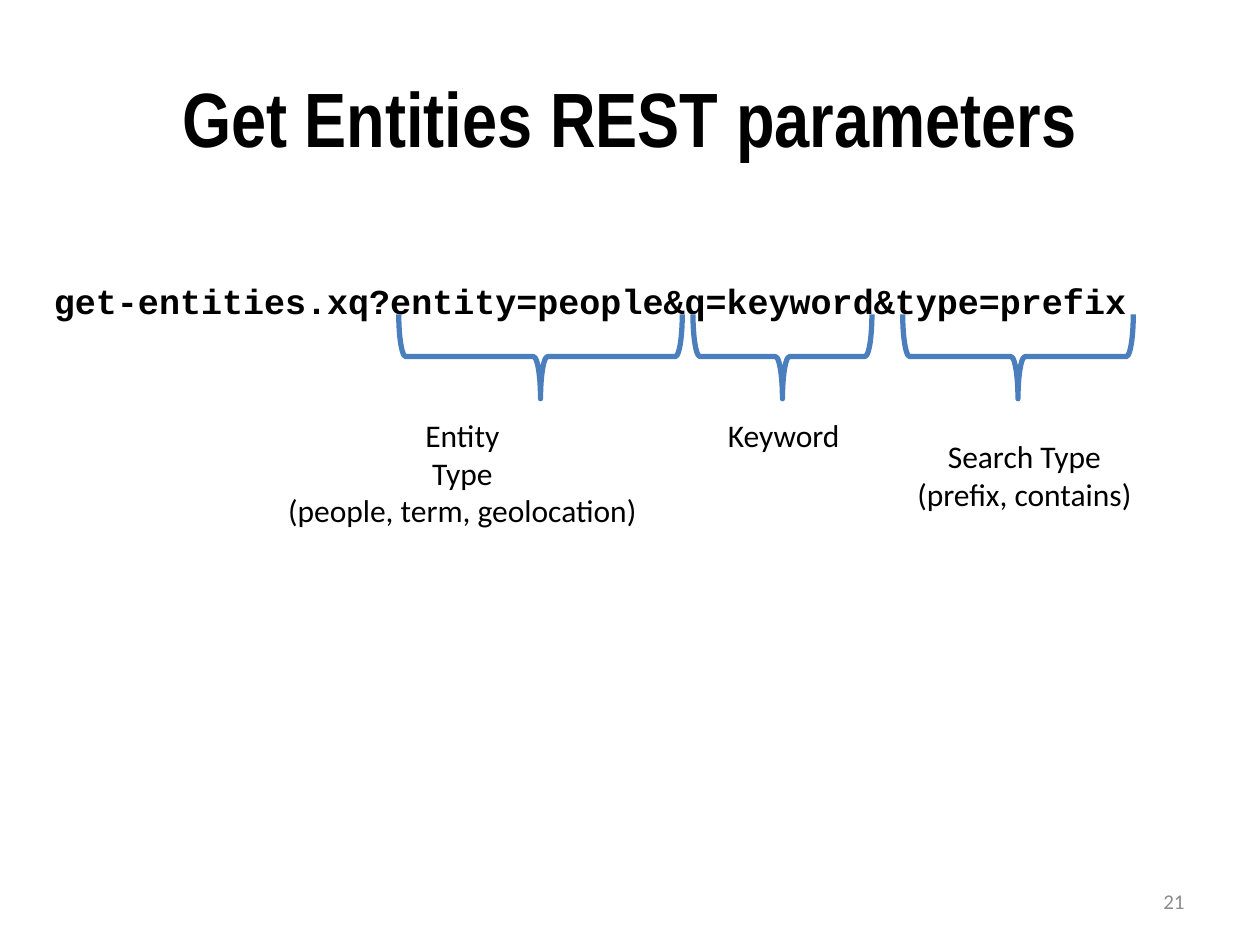
"""Build the slide that explains the Get Entities REST parameters."""
from dataclasses import dataclass

from pptx import Presentation
from pptx.dml.color import RGBColor
from pptx.enum import shapes, text
from pptx.slide import Slide
from pptx.util import Inches, Pt


@dataclass(frozen=True)
class Theme:
    title_font: str = "Arial Narrow"
    code_font: str = "Courier New"
    label_font: str = "Calibri"
    title_size: float = 44
    code_size: float = 20
    label_size: float = 18
    number_size: float = 12
    ink: str = "000000"
    muted: str = "8C8C8C"
    brace: str = "4B7EBC"
    brace_weight: float = 3


@dataclass(frozen=True)
class Area:
    left: float
    top: float
    width: float
    height: float


@dataclass(frozen=True)
class Parameter:
    brace_center: float
    brace_span: float
    label: tuple[str, ...]
    label_area: Area


THEME = Theme()
BRACE_MIDDLE = 2.83
BRACE_DEPTH = 0.67
PARAMETERS = (
    Parameter(4.29, 2.25, ("Entity", "Type", "(people, term, geolocation)"),
              Area(2.17, 3.25, 3, 1.01)),
    Parameter(6.21, 1.42, ("Keyword",), Area(5.67, 3.25, 1.1, 0.4)),
    Parameter(8.08, 1.83, ("Search Type", "(prefix, contains)"),
              Area(7.17, 3.42, 1.92, 0.71)),
)


def add_text(page: Slide, lines: tuple[str, ...], area: Area, *, font: str, size: float,
             color: str = THEME.ink, bold: bool = False, wrap: bool = True,
             align: text.PP_ALIGN = text.PP_ALIGN.CENTER,
             anchor: text.MSO_ANCHOR = text.MSO_ANCHOR.TOP, space_before: float = 0) -> None:
    box = page.shapes.add_textbox(Inches(area.left), Inches(area.top),
                                  Inches(area.width), Inches(area.height))
    frame = box.text_frame
    frame.word_wrap = wrap
    frame.auto_size = text.MSO_AUTO_SIZE.NONE if wrap else text.MSO_AUTO_SIZE.SHAPE_TO_FIT_TEXT
    frame.vertical_anchor = anchor
    for index, line in enumerate(lines):
        para = frame.add_paragraph() if index else frame.paragraphs[0]
        para.alignment = align
        para.space_before = Pt(space_before)
        span = para.add_run()
        span.text = line
        span.font.name = font
        span.font.size = Pt(size)
        span.font.bold = bold
        span.font.color.rgb = RGBColor.from_string(color)


def add_brace(page: Slide, center: float, span: float) -> None:
    brace = page.shapes.add_shape(
        shapes.MSO_SHAPE.LEFT_BRACE, Inches(center - BRACE_DEPTH / 2),
        Inches(BRACE_MIDDLE - span / 2), Inches(BRACE_DEPTH), Inches(span))
    brace.rotation = 270
    brace.shadow.inherit = False
    brace.fill.background()
    brace.line.color.rgb = RGBColor.from_string(THEME.brace)
    brace.line.width = Pt(THEME.brace_weight)


def main() -> None:
    deck = Presentation()
    deck.slide_width, deck.slide_height = Inches(10), Inches(7.5)
    page = deck.slides.add_slide(deck.slide_layouts[6])
    add_text(page, ("Get Entities REST parameters",), Area(0.5, 0.3, 9, 1.25),
             font=THEME.title_font, size=THEME.title_size, bold=True,
             anchor=text.MSO_ANCHOR.MIDDLE)
    add_text(page, ("get-entities.xq?entity=people&q=keyword&type=prefix",),
             Area(0.33, 2.17, 9, 0.58), font=THEME.code_font, size=THEME.code_size,
             bold=True, align=text.PP_ALIGN.LEFT, space_before=4)
    for parameter in PARAMETERS:
        add_brace(page, parameter.brace_center, parameter.brace_span)
        add_text(page, parameter.label, parameter.label_area, font=THEME.label_font,
                 size=THEME.label_size, wrap=False)
    add_text(page, ("21",), Area(7.17, 6.95, 2.33, 0.4), font=THEME.label_font,
             size=THEME.number_size, color=THEME.muted, align=text.PP_ALIGN.RIGHT,
             anchor=text.MSO_ANCHOR.MIDDLE)
    deck.save("out.pptx")


if __name__ == "__main__":
    main()
